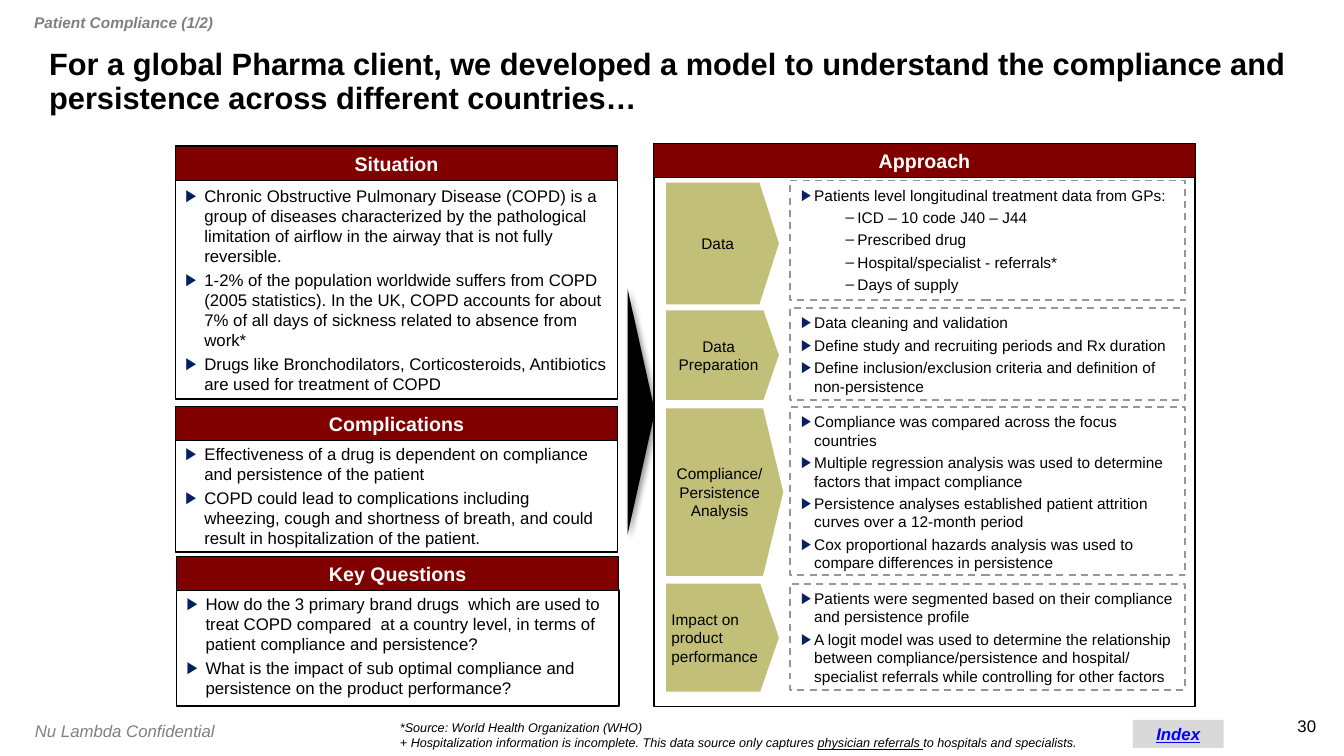
from lxml.etree import SubElement
from pptx import Presentation
from pptx.dml.color import RGBColor
from pptx.enum.dml import MSO_LINE
from pptx.enum.shapes import MSO_SHAPE
from pptx.enum.text import MSO_ANCHOR, MSO_AUTO_SIZE, PP_ALIGN
from pptx.oxml.ns import qn
from pptx.util import Cm, Pt

LEFT, MID, RIGHT = PP_ALIGN.LEFT, PP_ALIGN.CENTER, PP_ALIGN.RIGHT
SLIM = (0.13, 0.13, 0.13, 0.13)
WIDE = (0.25, 0.13, 0.25, 0.13)
LOW = (0.25, 0, 0.25, 0.13)

SIDES = [
    ("Situation", 4.42, 3.68, 5.53, WIDE, [
        "Chronic Obstructive Pulmonary Disease (COPD) is a group of diseases characterized by the "
        "pathological limitation of airflow in the airway that is not fully reversible.",
        "1-2% of the population worldwide suffers from COPD (2005 statistics). In the UK, COPD "
        "accounts for about 7% of all days of sickness related to absence from work*",
        "Drugs like Bronchodilators, Corticosteroids, Antibiotics are used for treatment of COPD"]),
    ("Complications", 4.42, 10.24, 2.82, WIDE, [
        "Effectiveness of a drug is dependent on compliance and persistence of the patient",
        "COPD could lead to complications including wheezing, cough and shortness of breath, "
        "and could result in hospitalization of the patient."]),
    ("Key Questions", 4.45, 14.02, 2.92, LOW, [
        "How do the 3 primary brand drugs  which are used to treat COPD compared  at a country "
        "level, in terms of patient compliance and persistence?",
        "What is the impact of sub optimal compliance and persistence on the product performance?"]),
]

# label, alignment, arrow (top, width, height), box (top, height), items, sub-items
STEPS = [
    ("Data", MID, (4.6, 2.84, 3.07), (4.55, 3.02),
     ["Patients level longitudinal treatment data from GPs:"],
     ["ICD – 10 code J40 – J44", "Prescribed drug", "Hospital/specialist - referrals*",
      "Days of supply"]),
    ("Data Preparation", MID, (7.82, 2.84, 2.26), (7.77, 2.31),
     ["Data cleaning and validation",
      "Define study and recruiting periods and Rx duration",
      "Define inclusion/exclusion criteria and definition of non-persistence"], []),
    ("Compliance/ Persistence Analysis", MID, (10.29, 2.95, 4.22), (10.26, 4.24),
     ["Compliance was compared across the focus countries",
      "Multiple regression analysis was used to determine factors that impact compliance",
      "Persistence analyses established patient attrition curves over a 12-month period",
      "Cox proportional hazards analysis was used to compare differences in persistence"], []),
    ("Impact on product performance", LEFT, (14.71, 2.84, 2.72), (14.71, 2.67),
     ["Patients were segmented based on their compliance and persistence profile",
      "A logit model was used to determine the relationship between compliance/persistence and "
      "hospital/ specialist referrals while controlling for other factors"], []),
]


def tint(code):
    return RGBColor.from_string(code)


def write(par, text, size=12, color="000000", bold=False, slant=False, under=False):
    run = par.add_run()
    run.text = text
    font = run.font
    font.name, font.size, font.color.rgb = "Arial", Pt(size), tint(color)
    font.bold, font.italic, font.underline = bold, slant, under


def mark(par, sign, color, start, hang):
    """Give a paragraph a hanging bullet."""
    props = par._p.get_or_add_pPr()
    props.set("marL", str(Cm(start)))
    props.set("indent", str(-Cm(hang)))
    SubElement(SubElement(props, qn("a:buClr")), qn("a:srgbClr"), val=color)
    SubElement(props, qn("a:buFont"), typeface="Arial")
    SubElement(props, qn("a:buChar"), char=sign)


class Board:
    """Holds the style and the current slide."""
    band, sand, grey = "800000", "C1BF78", "969696"

    def __init__(self, deck):
        self.slide = deck.slides.add_slide(deck.slide_layouts.get_by_name("Comparison"))
        self.shapes = self.slide.shapes
        self.slots = [s for s in self.slide.placeholders if s.placeholder_format.idx]

    def place(self, item, x, y, w, h):
        item.left, item.top, item.width, item.height = Cm(x), Cm(y), Cm(w), Cm(h)

    def frame(self, item, pad=SLIM, anchor=MSO_ANCHOR.MIDDLE):
        """Set up the text frame and return it."""
        body = item.text_frame
        body.word_wrap, body.auto_size = True, MSO_AUTO_SIZE.NONE
        body.vertical_anchor = anchor
        (body.margin_left, body.margin_top,
         body.margin_right, body.margin_bottom) = map(Cm, pad)
        return body

    def paint(self, item, fill, line=None, width=0.75):
        item.fill.solid()
        item.fill.fore_color.rgb = tint(fill)
        if line:
            item.line.color.rgb, item.line.width = tint(line), Pt(width)
        else:
            item.line.fill.background()

    def shape(self, kind, x, y, w, h, fill, line=None, width=0.75):
        item = self.shapes.add_shape(kind, Cm(x), Cm(y), Cm(w), Cm(h))
        item.shadow.inherit = False
        self.paint(item, fill, line, width)
        return item

    def label(self, item, text, align=MID, anchor=MSO_ANCHOR.MIDDLE, **form):
        par = self.frame(item, anchor=anchor).paragraphs[0]
        par.alignment = align
        write(par, text, **form)

    def note(self, x, y, w, h, lines, align=LEFT, pad=WIDE, **form):
        """Add a text box; each line is a list of (text, underlined) runs."""
        item = self.shapes.add_textbox(Cm(x), Cm(y), Cm(w), Cm(h))
        body = self.frame(item, pad, MSO_ANCHOR.TOP)
        for n, runs in enumerate(lines):
            par = body.add_paragraph() if n else body.paragraphs[0]
            par.alignment = align
            for text, under in runs:
                write(par, text, under=under, **form)

    def title(self, text):
        item = self.shapes.title
        self.place(item, 0.99, 0.91, 31.65, 2.34)
        self.label(item, text, align=LEFT, size=22, bold=True)
        item.text_frame.margin_left = Cm(0.25)
        item.text_frame.paragraphs[0].line_spacing = 0.9

    def items(self, body, rows, size, gap):
        """Fill a text frame with (text, bullet) rows."""
        for n, (text, bullet) in enumerate(rows):
            par = body.add_paragraph() if n else body.paragraphs[0]
            mark(par, *bullet)
            par.alignment = LEFT
            par.space_before = Pt(gap if n else 0)
            write(par, text, size=size)

    def head(self, text, x, y, w):
        item = self.shape(MSO_SHAPE.RECTANGLE, x, y, w, 0.86, self.band, "000000")
        self.label(item, text, anchor=MSO_ANCHOR.BOTTOM, size=14, color="FFFFFF", bold=True)

    def panel(self, text, x, y, h, pad, rows):
        item = self.slots.pop(0)
        self.place(item, x, y + 0.85, 11.15, h)
        self.paint(item, "FFFFFF", "000000", 1)
        bullet = ("▶", "002060", 0.48, 0.48)
        self.items(self.frame(item, pad), [(row, bullet) for row in rows], 12, 2.4)
        self.head(text, x, y, 11.15)

    def step(self, text, align, arrow, box, rows, subs):
        top, w, h = arrow
        item = self.shape(MSO_SHAPE.PENTAGON, 16.79, top, w, h, self.sand)
        item.adjustments[0] = 0.173
        self.label(item, text, align, size=11)
        item = self.shape(MSO_SHAPE.RECTANGLE, 19.91, box[0], 9.96, box[1],
                          "FFFFFF", self.grey, 1.25)
        item.line.dash_style = MSO_LINE.DASH
        main, sub = ("▶", "0B1F65", 0.48, 0.33), ("–", "000000", 1.57, 0.3)
        rows = [(row, main) for row in rows] + [(row, sub) for row in subs]
        self.items(self.frame(item, anchor=MSO_ANCHOR.TOP), rows, 11, 2.75)

    def wedge(self):
        item = self.shape(MSO_SHAPE.ISOSCELES_TRIANGLE, 13.06, 10.03, 6.2, 0.69, "000000")
        item.rotation = 90
        glow = SubElement(item._element.spPr.find(qn("a:effectLst")), qn("a:outerShdw"),
                          blurRad=str(Pt(4)), dist=str(Pt(3)), dir="2700000", rotWithShape="0")
        shade = SubElement(glow, qn("a:srgbClr"), val="000000")
        SubElement(shade, qn("a:alpha"), val="40000")

    def clear(self):
        """Remove the placeholders left empty."""
        for item in self.slots:
            item._element.getparent().remove(item._element)


def main():
    deck = Presentation()
    deck.slide_width, deck.slide_height = Cm(33.87), Cm(19.05)
    board = Board(deck)
    board.title("For a global Pharma client, we developed a model to understand the compliance "
                "and persistence across different countries…")
    for side in SIDES:
        board.panel(*side)
    board.clear()
    board.wedge()
    board.head("Approach", 16.48, 3.61, 13.64)
    board.shape(MSO_SHAPE.RECTANGLE, 16.48, 4.47, 13.64, 13.34, "FFFFFF", "000000", 1)
    for step in STEPS:
        board.step(*step)
    board.note(0.61, 0.2, 6, 0.74, [[("Patient Compliance (1/2)", False)]],
               size=11, color="808080", bold=True, slant=True)
    board.note(0.63, 18.03, 6.25, 0.76, [[("Nu Lambda Confidential", False)]],
               color="808080", slant=True)
    board.note(9.83, 18.01, 20, 0.71, [
        [("*Source: World Health Organization (WHO)", False)],
        [("+ Hospitalization information is incomplete. This data source only captures ", False),
         ("physician referrals ", True), ("to hospitals and specialists.", False)],
    ], size=9, slant=True)
    index = board.shape(MSO_SHAPE.RECTANGLE, 28.55, 18.14, 2.29, 0.71, "D9D9D9")
    board.label(index, "Index", color="0000FF", bold=True, slant=True, under=True)
    board.note(32.17, 18.03, 1, 0.51, [[("30", False)]], align=RIGHT, pad=(0, 0, 0, 0))
    deck.save("out.pptx")


if __name__ == "__main__":
    main()
